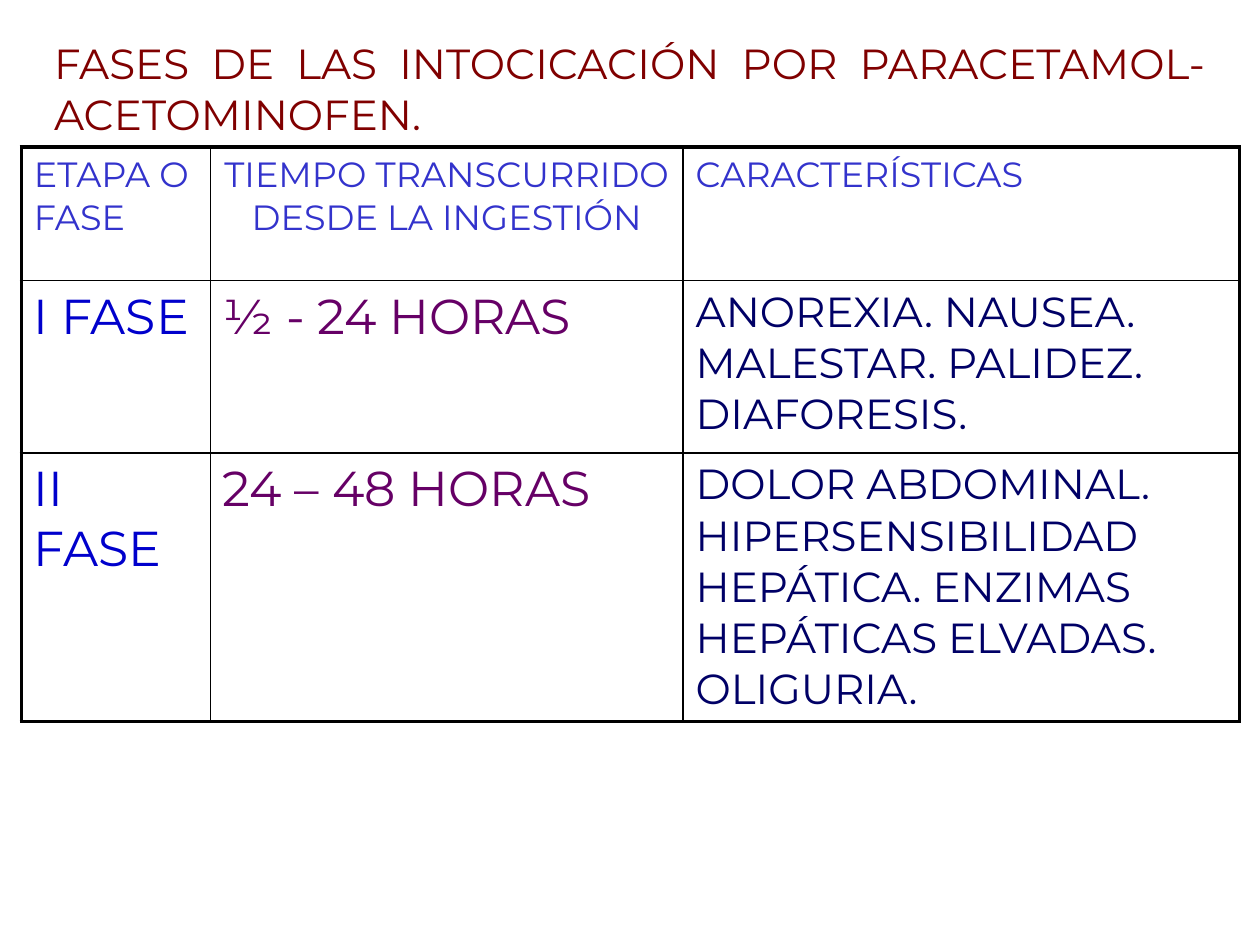
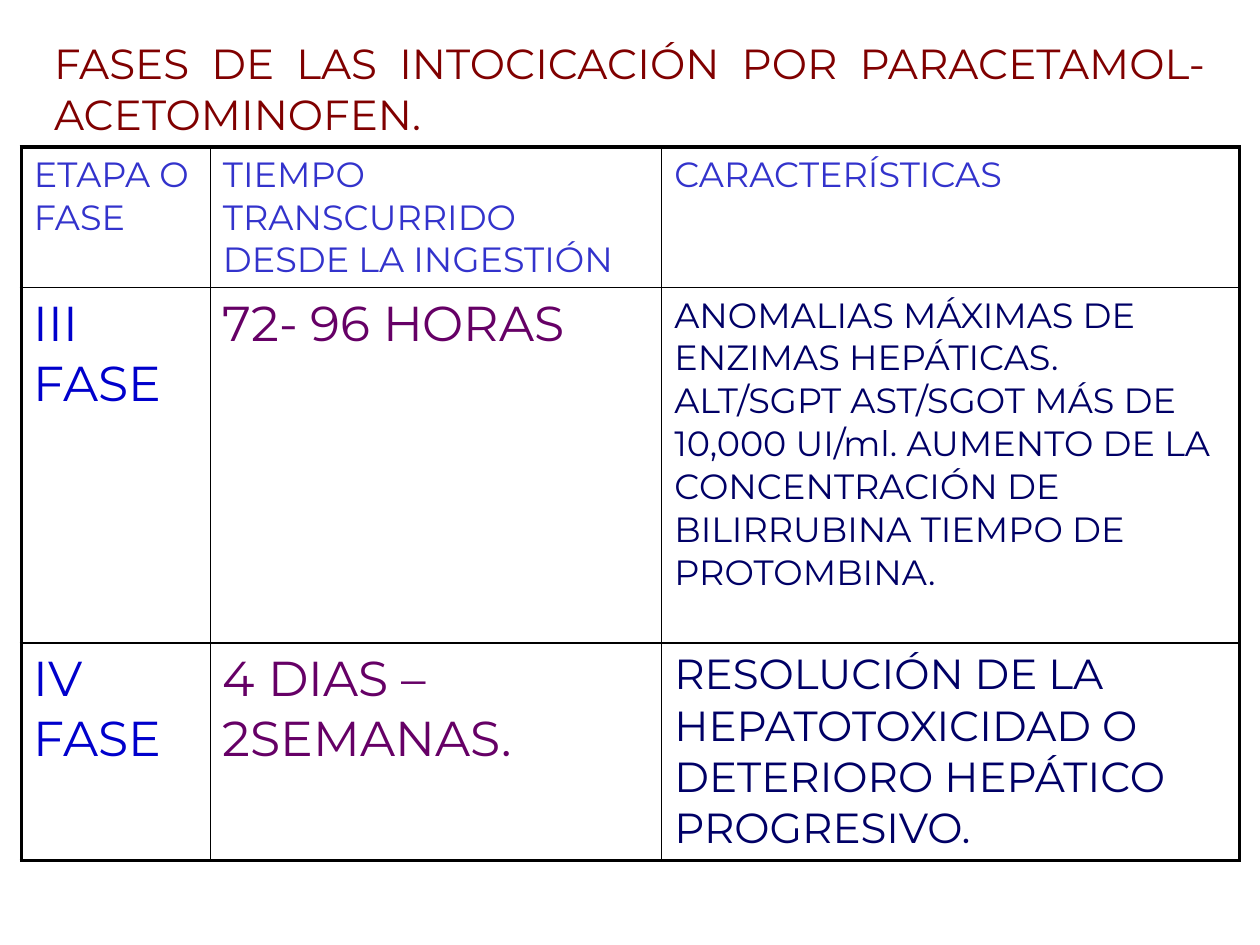
"""Build two slides with the phases of paracetamol poisoning."""
from lxml.etree import SubElement
from pptx import Presentation
from pptx.dml.color import RGBColor
from pptx.enum.text import PP_ALIGN
from pptx.oxml.ns import qn
from pptx.util import Cm, Pt

FONT = "Montserrat"
MAROON = RGBColor(0x80, 0x00, 0x00)
INDIGO = RGBColor(0x33, 0x33, 0xCC)
BLUE = RGBColor(0x00, 0x00, 0xCC)
PURPLE = RGBColor(0x66, 0x00, 0x66)
NAVY = RGBColor(0x00, 0x00, 0x66)
BLACK = RGBColor(0x00, 0x00, 0x00)
WHITE = RGBColor(0xFF, 0xFF, 0xFF)
THICK, THIN = Pt(2.25), Pt(1)

TITLE = "FASES DE LAS INTOCICACIÓN POR PARACETAMOL- ACETOMINOFEN."
HEADS = ["ETAPA O FASE", "TIEMPO TRANSCURRIDO DESDE LA INGESTIÓN", "CARACTERÍSTICAS"]
TINTS = [BLUE, PURPLE, NAVY]
SLIDES = [
    {
        "cols": [3.81, 9.53, 11.22],
        "rows": [2.69, 3.48, 5.41],
        "align": PP_ALIGN.CENTER,
        "sizes": [24, 24],
        "body": [
            ["I FASE", "½ - 24 HORAS", "ANOREXIA. NAUSEA. MALESTAR. PALIDEZ. DIAFORESIS."],
            ["II FASE", "24 – 48 HORAS",
             "DOLOR ABDOMINAL. HIPERSENSIBILIDAD HEPÁTICA. ENZIMAS HEPÁTICAS ELVADAS. OLIGURIA."],
        ],
    },
    {
        "cols": [3.81, 9.1, 11.65],
        "rows": [2.84, 7.16, 4.39],
        "align": PP_ALIGN.LEFT,
        "sizes": [20, 24],
        "body": [
            ["III FASE", "72- 96 HORAS",
             "ANOMALIAS MÁXIMAS DE ENZIMAS HEPÁTICAS. ALT/SGPT AST/SGOT MÁS DE 10,000 UI/ml. "
             "AUMENTO DE LA CONCENTRACIÓN DE BILIRRUBINA TIEMPO DE PROTOMBINA."],
            ["IV FASE", "4 DIAS –2SEMANAS.",
             "RESOLUCIÓN DE LA HEPATOTOXICIDAD O DETERIORO HEPÁTICO PROGRESIVO."],
        ],
    },
]


def write(frame, text, size=24, color=NAVY, align=PP_ALIGN.LEFT):
    frame.word_wrap = True
    para = frame.paragraphs[0]
    para.alignment = align
    run = para.add_run()
    run.text = text
    run.font.name = FONT
    run.font.size = Pt(size)
    run.font.bold = False
    run.font.color.rgb = color


def edge(cell, outer):
    props = cell._tc.get_or_add_tcPr()
    for side in "LRTB":
        line = SubElement(props, qn(f"a:ln{side}"), w=str(THICK if side in outer else THIN))
        fill = SubElement(line, qn("a:solidFill"))
        SubElement(fill, qn("a:srgbClr"), val=str(BLACK))
    cell.fill.background()


def draw(slide, data):
    cols, rows = data["cols"], data["rows"]
    grid = slide.shapes.add_table(len(rows), len(cols), Cm(0.43), Cm(2.96),
                                  Cm(sum(cols)), Cm(sum(rows))).table
    grid.first_row = grid.horz_banding = False
    for col, width in zip(grid.columns, cols):
        col.width = Cm(width)
    for row, height in zip(grid.rows, rows):
        row.height = Cm(height)
    for r, texts in enumerate([HEADS] + data["body"]):
        for c, text in enumerate(texts):
            cell = grid.cell(r, c)
            if r == 0:
                style = {"size": 20, "color": INDIGO,
                         "align": data["align"] if c == 1 else PP_ALIGN.LEFT}
            else:
                style = {"size": data["sizes"][r - 1] if c == 2 else 28, "color": TINTS[c]}
            write(cell.text_frame, text, **style)
            sides = {"L": c == 0, "R": c == len(cols) - 1, "T": r == 0, "B": r == len(rows) - 1}
            edge(cell, [side for side, on in sides.items() if on])


deck = Presentation()
deck.slide_width, deck.slide_height = Cm(25.4), Cm(19.05)
for data in SLIDES:
    slide = deck.slides.add_slide(deck.slide_layouts[6])
    slide.background.fill.solid()
    slide.background.fill.fore_color.rgb = WHITE
    title = slide.shapes.add_textbox(Cm(0.84), Cm(0.64), Cm(23.7), Cm(17.35))
    write(title.text_frame, TITLE, color=MAROON, align=PP_ALIGN.JUSTIFY)
    draw(slide, data)
deck.save("out.pptx")
